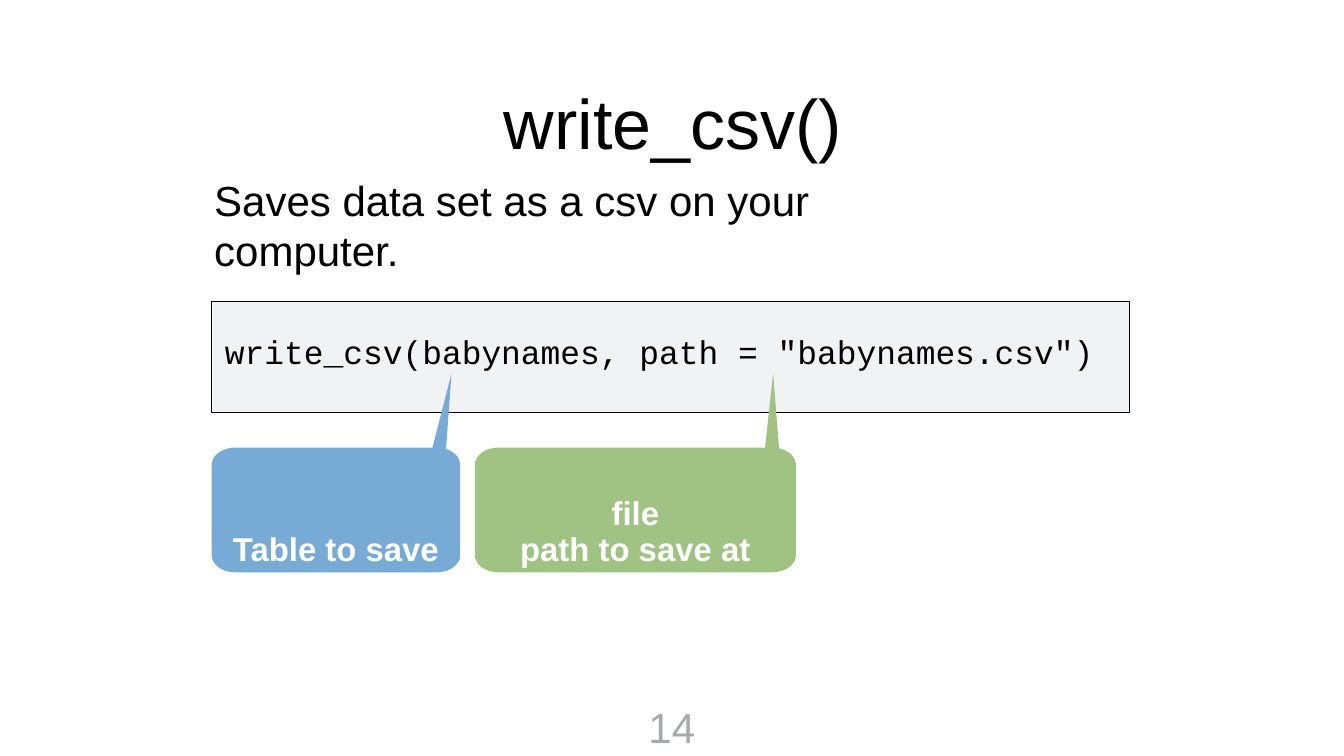
import math
from dataclasses import dataclass

from lxml import etree
from pptx import Presentation
from pptx import util as u
from pptx.dml.color import RGBColor
from pptx.enum import shapes, text
from pptx.oxml import ns

BLACK = RGBColor(0x00, 0x00, 0x00)
WHITE = RGBColor(0xFF, 0xFF, 0xFF)
GRAY = RGBColor(0xA6, 0xAA, 0xA9)
CODE_FILL = RGBColor(0xF0, 0xF2, 0xF4)
BLUE = RGBColor(0x78, 0xAA, 0xD6)
GREEN = RGBColor(0xA0, 0xC2, 0x83)

# Shared callout measures, in points
TIP_Y, BODY_TOP, BODY_BOTTOM = 533.5, 639.5, 817.6
RADIUS_X, RADIUS_Y = 33.5, 24.5


@dataclass(frozen=True)
class Label:
    content: str
    left: float
    top: float
    width: float
    height: float
    size: float
    font: str = "Arial"
    color: RGBColor = BLACK
    align: text.PP_ALIGN = text.PP_ALIGN.LEFT
    anchor: text.MSO_ANCHOR = text.MSO_ANCHOR.TOP
    inset: float = 4
    wrap: bool = True


@dataclass(frozen=True)
class Callout:
    content: str
    left: float
    right: float
    tip_x: float
    base_left: float
    base_right: float
    fill: RGBColor


LABELS = [
    Label("write_csv()", 316.8, 79.2, 1288.8, 188.6, 100,
          align=text.PP_ALIGN.CENTER, anchor=text.MSO_ANCHOR.MIDDLE),
    Label("Saves data set as a csv on your computer.", 302, 230.8, 1082.2, 180, 60,
          anchor=text.MSO_ANCHOR.MIDDLE),
    Label('write_csv(babynames, path = "babynames.csv")', 317.3, 469.4, 1288.8, 180, 47,
          font="Courier New"),
    Label("14", 920.2, 996.8, 79.2, 83.5, 60, color=GRAY,
          align=text.PP_ALIGN.CENTER, inset=5.6, wrap=False),
]

CALLOUTS = [
    Callout("Table to save", 302.4, 657.5, 645, 617.8, 637.2, BLUE),
    Callout("file\npath to save at", 678.4, 1137, 1104.5, 1093, 1113, GREEN),
]


def fill_text(shape, content: str, size: float, font: str, color: RGBColor,
              align: text.PP_ALIGN, anchor: text.MSO_ANCHOR, inset: float,
              bold: bool = False, line_spacing: float = 1.0) -> None:
    text_frame = shape.text_frame
    text_frame.text = content
    text_frame.vertical_anchor = anchor
    text_frame.margin_left = text_frame.margin_right = u.Pt(inset)
    text_frame.margin_top = text_frame.margin_bottom = u.Pt(inset)
    for paragraph in text_frame.paragraphs:
        paragraph.alignment = align
        paragraph.line_spacing = line_spacing
        for run in paragraph.runs:
            run.font.name = font
            run.font.size = u.Pt(size)
            run.font.bold = bold
            run.font.color.rgb = color


def draw_label(slide, label: Label) -> None:
    shape = slide.shapes.add_textbox(u.Pt(label.left), u.Pt(label.top),
                                     u.Pt(label.width), u.Pt(label.height))
    fill_text(shape, label.content, label.size, label.font, label.color,
              label.align, label.anchor, label.inset)
    shape.text_frame.word_wrap = label.wrap


def corner(center_x: float, center_y: float, start: float,
           end: float) -> list[tuple[float, float]]:
    """Start, two control points and end of an elliptic corner (radians, y up)."""
    handle = 4 / 3 * math.tan((end - start) / 4)
    unit_points = [
        (math.cos(start), math.sin(start)),
        (math.cos(start) - handle * math.sin(start), math.sin(start) + handle * math.cos(start)),
        (math.cos(end) + handle * math.sin(end), math.sin(end) - handle * math.cos(end)),
        (math.cos(end), math.sin(end)),
    ]
    return [(center_x + RADIUS_X * x, center_y - RADIUS_Y * y) for x, y in unit_points]


def curve_corners(shape) -> None:
    """Turn the last three lines of each corner into one Bezier curve."""
    lines = list(shape.element.iter(ns.qn("a:lnTo")))
    for first in range(2, len(lines), 4):
        curve = etree.Element(ns.qn("a:cubicBezTo"))
        lines[first].addprevious(curve)
        for line in lines[first:first + 3]:
            curve.append(line[0])
            line.getparent().remove(line)


def draw_callout(slide, callout: Callout) -> None:
    left, right = callout.left + RADIUS_X, callout.right - RADIUS_X
    top, bottom = BODY_TOP + RADIUS_Y, BODY_BOTTOM - RADIUS_Y
    quarter = math.pi / 2
    # The pointer meets the top right corner at base_right
    pointer_angle = math.acos((callout.base_right - right) / RADIUS_X)
    points = [
        (callout.base_left, BODY_TOP),
        *corner(left, top, quarter, 2 * quarter),
        *corner(left, bottom, 2 * quarter, 3 * quarter),
        *corner(right, bottom, 3 * quarter, 4 * quarter),
        *corner(right, top, 0, pointer_angle),
    ]
    builder = slide.shapes.build_freeform(u.Pt(callout.tip_x), u.Pt(TIP_Y))
    builder.add_line_segments([(u.Pt(x), u.Pt(y)) for x, y in points], close=True)
    shape = builder.convert_to_shape()
    curve_corners(shape)
    shape.shadow.inherit = False
    shape.fill.solid()
    shape.fill.fore_color.rgb = callout.fill
    shape.line.fill.background()
    fill_text(shape, callout.content, 47, "Arial", WHITE, text.PP_ALIGN.CENTER,
              text.MSO_ANCHOR.BOTTOM, 5.8, bold=True, line_spacing=0.9)
    shape.text_frame.word_wrap = True


def draw_code_panel(slide) -> None:
    shape = slide.shapes.add_shape(shapes.MSO_SHAPE.RECTANGLE, u.Pt(301.7), u.Pt(431),
                                   u.Pt(1311.1), u.Pt(158.4))
    shape.shadow.inherit = False
    shape.fill.solid()
    shape.fill.fore_color.rgb = CODE_FILL
    shape.line.color.rgb = BLACK
    shape.line.width = u.Pt(1)


def main() -> None:
    presentation = Presentation()
    presentation.slide_width = u.Pt(1920)
    presentation.slide_height = u.Pt(1080)
    slide = presentation.slides.add_slide(presentation.slide_layouts[6])

    # Title, description, code and page number, over the code panel
    draw_code_panel(slide)
    for label in LABELS:
        draw_label(slide, label)

    # Callouts pointing at the arguments
    for callout in CALLOUTS:
        draw_callout(slide, callout)

    presentation.save("out.pptx")


if __name__ == "__main__":
    main()
